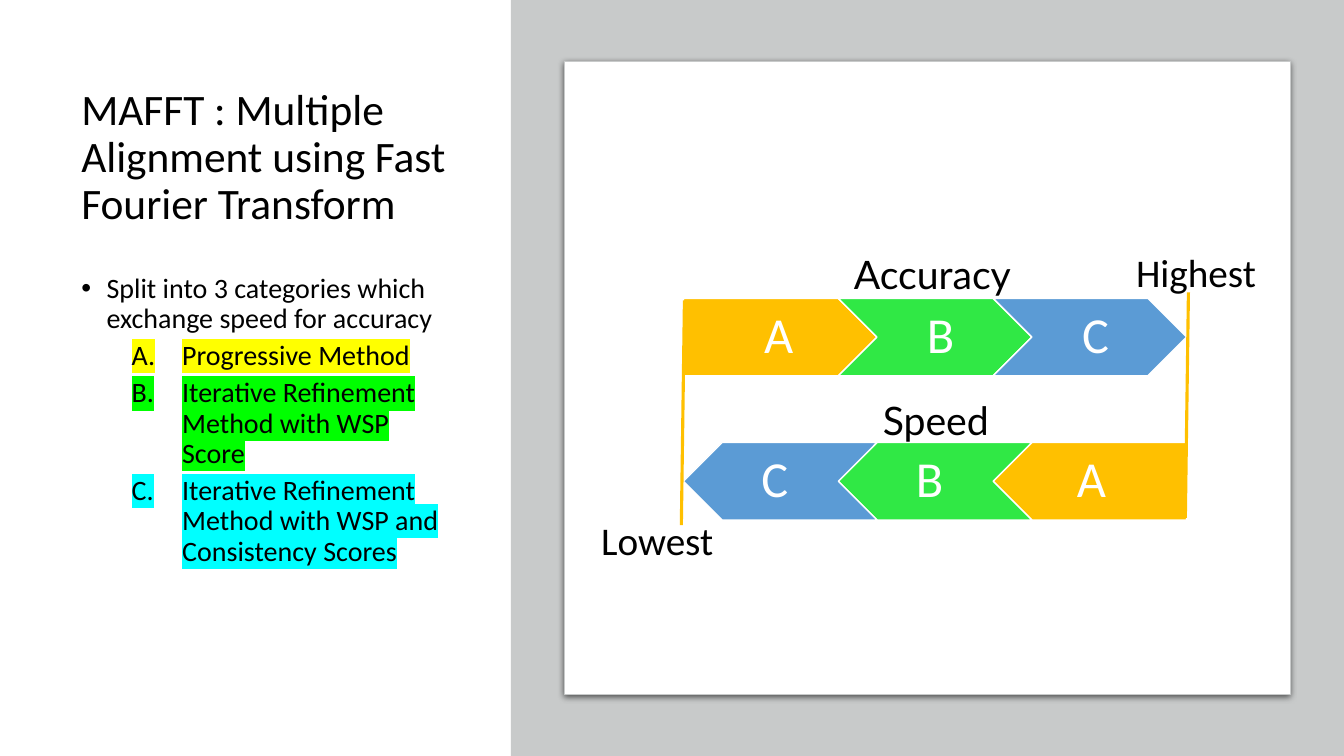
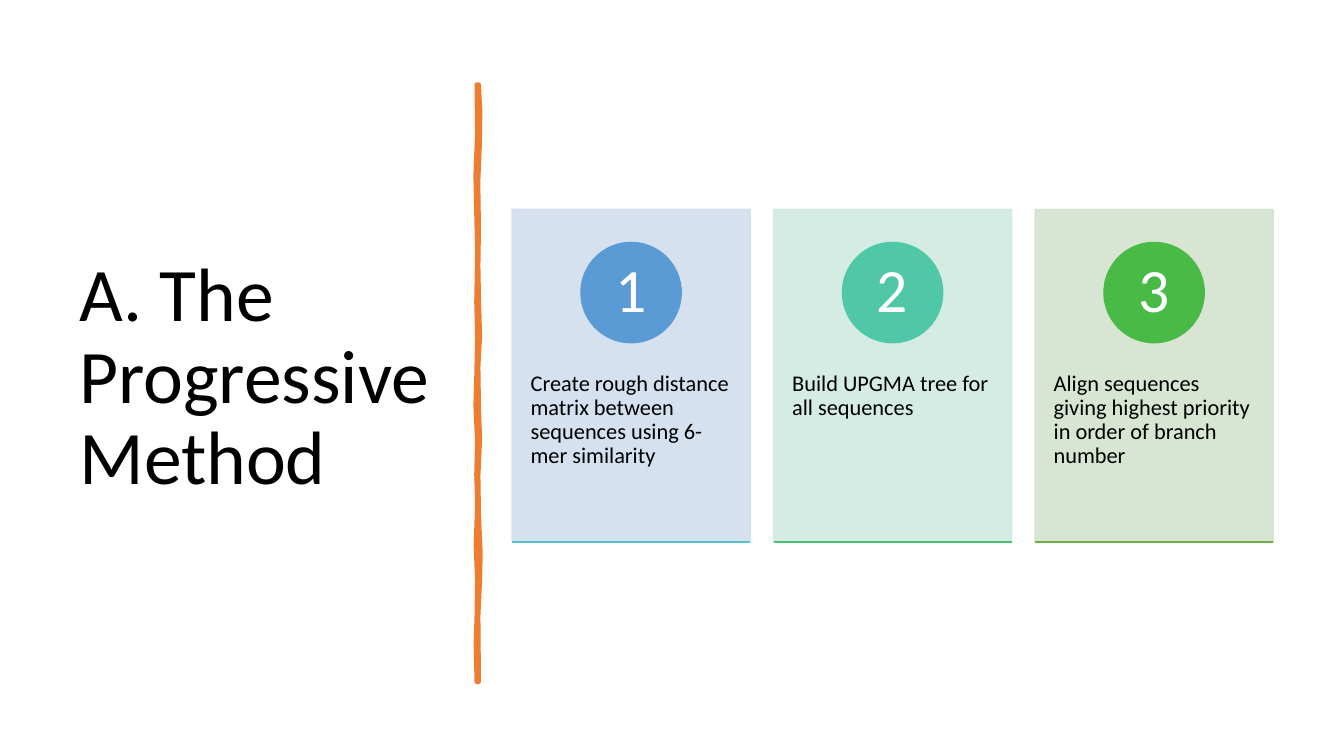
from lxml import etree
from pptx import Presentation
from pptx import util as u
from pptx.dml.color import RGBColor
from pptx.enum import shapes, text
from pptx.oxml import ns

Pt = u.Pt
MID, TOP = text.MSO_ANCHOR.MIDDLE, text.MSO_ANCHOR.TOP
LEFT, CENTER = text.PP_ALIGN.LEFT, text.PP_ALIGN.CENTER
KIND = shapes.MSO_SHAPE

HUE = {
    "ink": "000000", "white": "FFFFFF", "grey": "C8CACA",
    "gold": "FFC000", "green": "30E845", "blue": "5B9BD5",
    "brush": "ED7D31",
}
TITLE = {"anchor": MID}
LABEL = {"align": CENTER, "lead": 1.0}


def form(slide, kind, at, fill=None, line=None, wide=1):
    """Add a preset shape, or a text box if kind is None; at is in points."""
    area = [Pt(v) for v in at]
    if kind is None:
        return slide.shapes.add_textbox(*area)
    shape = slide.shapes.add_shape(kind, *area)
    shape.shadow.inherit = False
    shape.fill.solid()
    shape.fill.fore_color.rgb = RGBColor.from_string(fill)
    if line:
        shape.line.color.rgb = RGBColor.from_string(line)
        shape.line.width = Pt(wide)
    else:
        shape.line.fill.background()
    return shape


def write(shape, words, size, hue="ink", font="Calibri", anchor=TOP,
          align=LEFT, lead=0.9, pad=(7.2, 3.6, 7.2, 3.6), more=False):
    """Write one paragraph; more adds it below those already there."""
    frame = shape.text_frame
    look = {"word_wrap": True, "vertical_anchor": anchor}
    sides = ("margin_left", "margin_top", "margin_right", "margin_bottom")
    look.update(zip(sides, map(Pt, pad)))
    for name, value in look.items():
        setattr(frame, name, value)
    para = frame.add_paragraph() if more else frame.paragraphs[0]
    para.alignment, para.line_spacing = align, lead
    run = para.add_run()
    run.text = words
    for name, value in {"name": font, "size": Pt(size)}.items():
        setattr(run.font, name, value)
    run.font.color.rgb = RGBColor.from_string(HUE[hue])
    return para


deck = Presentation()
deck.slide_width, deck.slide_height = Pt(960), Pt(540)
blank = deck.slide_layouts[6]

# Slide 1: speed against accuracy
slide = deck.slides.add_slide(blank)
head = form(slide, None, (51, 49.7, 276, 127.4))
write(head, "MAFFT : Multiple Alignment using Fast Fourier Transform", 31, **TITLE)

body = form(slide, None, (51, 192.2, 276, 298))
items = [
    ("Split into 3 categories which exchange speed for accuracy", None),
    ("Progressive Method", "FFFF00"),
    ("Iterative Refinement Method with WSP Score", "00FF00"),
    ("Iterative Refinement Method with WSP and Consistency Scores", "00FFFF"),
]
for i, (words, mark) in enumerate(items):
    para = write(body, words, 20, more=i > 0)
    para.level = 1 if mark else 0
    para.space_before = Pt(5 if mark else 10)
    props = para._p.get_or_add_pPr()
    props.set("marL", str(Pt(72 if mark else 18)))
    props.set("indent", str(Pt(-36 if mark else -18)))
    if mark:
        etree.SubElement(props, ns.qn("a:buFont"), typeface="+mj-lt")
        etree.SubElement(props, ns.qn("a:buAutoNum"), type="alphaUcPeriod")
        ink = para.runs[0]._r.rPr.find(ns.qn("a:solidFill"))
        glow = etree.Element(ns.qn("a:highlight"))
        etree.SubElement(glow, ns.qn("a:srgbClr"), val=mark)
        ink.addnext(glow)
    else:
        etree.SubElement(props, ns.qn("a:buFont"), typeface="Arial")
        etree.SubElement(props, ns.qn("a:buChar"), char="•")

form(slide, KIND.RECTANGLE, (365, 0, 595, 540), HUE["grey"])
panel = form(slide, KIND.RECTANGLE, (403.2, 44, 518.4, 452),
             HUE["white"], HUE["grey"], 0.75)
cast = etree.SubElement(
    panel._element.spPr.find(ns.qn("a:effectLst")), ns.qn("a:outerShdw"),
    blurRad=str(Pt(4.5)), dist=str(Pt(1.5)), dir="5400000", algn="t", rotWithShape="0")
shade = etree.SubElement(cast, ns.qn("a:srgbClr"), val=HUE["ink"])
etree.SubElement(shade, ns.qn("a:alpha"), val="63000")

left, step, wide, high = 488.2, 110.6, 138.2, 55.3
steps = [("A", "gold"), ("B", "green"), ("C", "blue")]
for top, back in ((213.1, False), (316.1, True)):
    for i, (name, hue) in enumerate(steps):
        x = left + step * (2 - i if back else i)
        kind = KIND.CHEVRON if i else KIND.PENTAGON
        arrow = form(slide, kind, (x, top, wide, high), HUE[hue], HUE["white"])
        arrow.rotation = 180 if back else 0
        # Letters stay upright, so they sit beside the turned arrows
        near, far = (27.7, 27.7) if i else (0, 13.8)
        tail = 11.5 if i else 15.1
        pad = (3.6, 7.2, tail, 7.2) if back else (tail, 7.2, 3.6, 7.2)
        spot = (x + (far if back else near), top, wide - near - far, high)
        write(form(slide, None, spot), name, 36, "white",
              anchor=MID, align=CENTER, pad=pad)

labels = [
    ("Speed", (483, 279.4, 371, 41), "Lato"),
    ("Accuracy", (483, 175, 366, 41), "Lato"),
    ("Lowest", (417.6, 365, 103.7, 41), "Calibri"),
    ("Highest", (795.6, 174.2, 117.4, 41), "Calibri"),
]
for words, at, font in labels:
    write(form(slide, None, at), words, 28, font=font, **LABEL)

rules = [(slide, (848.9, 208.8, 846.7, 370), HUE["gold"], 2.25),
         (slide, (488.9, 214.6, 486.7, 375.1), HUE["gold"], 2.25)]

# Slide 2: the three steps
slide = deck.slides.add_slide(blank)
head = form(slide, None, (49.7, 50.4, 269.3, 440))
write(head, "A. The Progressive Method", 54, **TITLE)

right = [(342, 60.5), (343, 80), (342.6, 105), (341.5, 130), (342, 163),
         (341.6, 190), (342, 212), (342.8, 240), (341.6, 262), (342, 290),
         (342.8, 314), (341.6, 340), (342, 367), (343.2, 395), (342.8, 415),
         (341.6, 440), (342, 487)]
edge = [(340.6, 487), (340, 460), (340.6, 441), (341, 415), (340, 390),
        (341, 360), (340.4, 339), (341, 315), (339.8, 290), (340.4, 270),
        (341, 241), (340.4, 216), (341, 180), (339.8, 125), (341, 95),
        (340.6, 60.5)]
dots = [(Pt(x), Pt(y)) for x, y in right + edge]
pen = slide.shapes.build_freeform(*dots[0])
pen.add_line_segments(dots[1:], close=True)
brush = pen.convert_to_shape()
brush.shadow.inherit = False
brush.fill.solid()
for paint in (brush.fill.fore_color, brush.line.color):
    paint.rgb = RGBColor.from_string(HUE["brush"])
brush.line.width = Pt(3.25)

left, step, wide, ring = 365.8, 186.8, 170, 71.6
cards = [
    ("Create rough distance matrix between sequences using 6-mer similarity",
     "D2DEEF", "5B9BD5", "55C3CF"),
    ("Build UPGMA tree for all sequences", "D0EAE1", "50C8A7", "4BC174"),
    ("Align sequences giving highest priority in order of branch number",
     "D5E3CF", "4ABA46", "70AD47"),
]
for i, (words, pale, full, base) in enumerate(cards):
    x = left + step * i
    card = form(slide, KIND.RECTANGLE, (x, 149.6, wide, 237.6), pale, pale)
    for tint in card._element.spPr.iter(ns.qn("a:srgbClr")):
        etree.SubElement(tint, ns.qn("a:alpha"), val="90000")
    write(card, words, 16, pad=(13.2, 116, 13.2, 26))
    disc = form(slide, KIND.OVAL, (x + (wide - ring) / 2, 173.2, ring, ring), full, full)
    write(disc, str(i + 1), 44, "white", anchor=MID, align=CENTER, pad=(0, 0, 0, 0))
    rules.append((slide, (x, 387.2, x + wide, 387.2), base, 1))

for page, ends, hue, thick in rules:
    rule = page.shapes.add_connector(shapes.MSO_CONNECTOR.STRAIGHT, *map(Pt, ends))
    rule.line.color.rgb = RGBColor.from_string(hue)
    rule.line.width = Pt(thick)
    etree.SubElement(rule._element.spPr, ns.qn("a:effectLst"))

deck.save("out.pptx")
